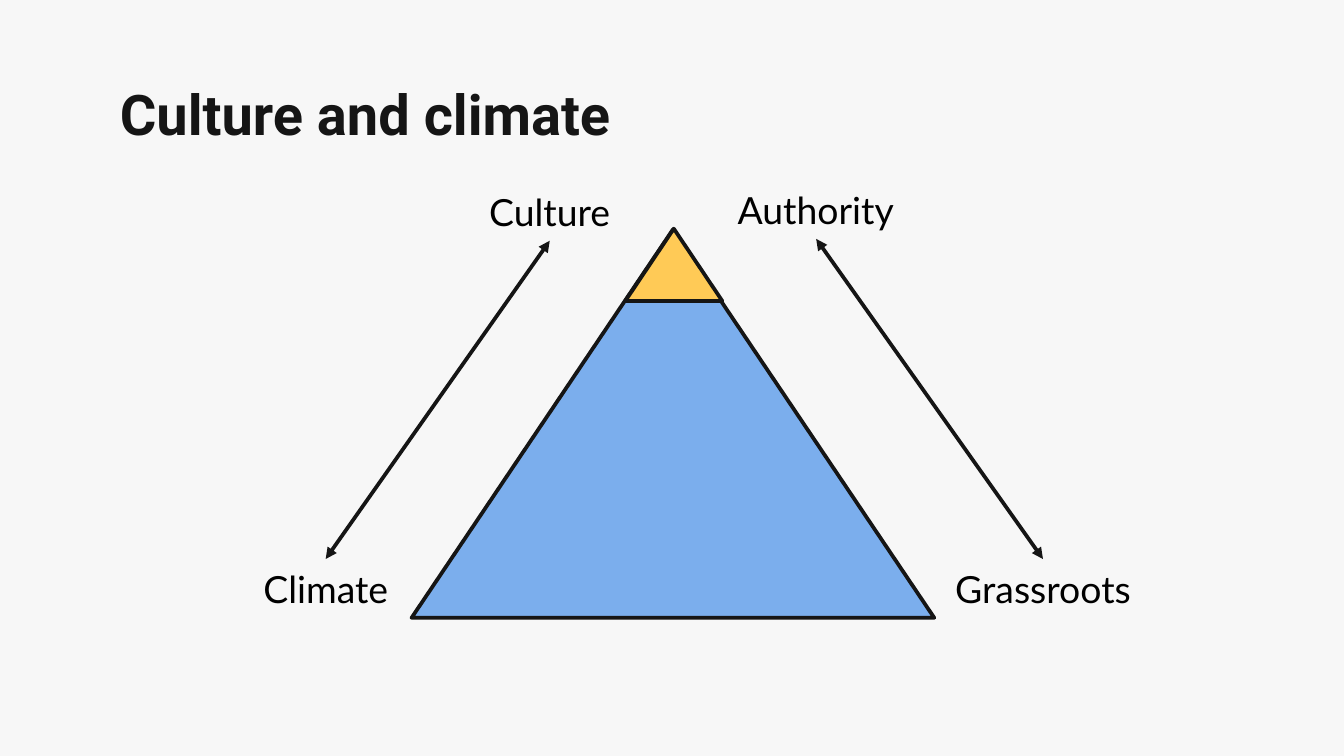
"""Build a slide showing culture and climate as a two-part pyramid."""
import dataclasses

import pptx
import pptx.dml.color
import pptx.enum.shapes
import pptx.enum.text
import pptx.oxml.xmlchemy
import pptx.shapes.group
import pptx.slide
import pptx.text.text
import pptx.util


@dataclasses.dataclass(frozen=True)
class Theme:
    background: str = "F7F7F7"
    ink: str = "151515"
    label_ink: str = "000000"
    base: str = "7BAEED"
    peak: str = "FFCA56"
    title_font: str = "Roboto"
    label_font: str = "Lato"
    title_size: float = 30
    label_size: float = 20
    line_width: float = 2


@dataclasses.dataclass(frozen=True)
class Label:
    text: str
    left: float
    top: float


@dataclasses.dataclass(frozen=True)
class Tier:
    left: float
    top: float
    width: float
    height: float
    color: str


@dataclasses.dataclass(frozen=True)
class Arrow:
    start: tuple[float, float]
    end: tuple[float, float]


THEME = Theme()
LABEL_WIDTH, LABEL_HEIGHT = 193, 31.5
TIERS = (
    Tier(220.5, 123, 280, 208, THEME.base),
    Tier(335, 122.5, 52, 38.75, THEME.peak),
)
LABELS = (
    Label("Culture", 198, 98),
    Label("Climate", 78, 299.5),
    Label("Authority", 340.5, 96.5),
    Label("Grassroots", 462.25, 299.5),
)
ARROWS = (
    Arrow((294.5, 129), (174.5, 299.5)),
    Arrow((437.25, 128), (558.75, 299.5)),
)


def points(*values: float) -> list[pptx.util.Length]:
    """Turn numbers into lengths in points."""
    return [pptx.util.Pt(value) for value in values]


def rgb(color: str) -> pptx.dml.color.RGBColor:
    """Turn a hex string into a colour."""
    return pptx.dml.color.RGBColor.from_string(color)


def set_font(paragraph: pptx.text.text._Paragraph, name: str, size: float,
             color: str, bold: bool = False) -> None:
    """Format a whole paragraph."""
    paragraph.font.name = name
    paragraph.font.size = pptx.util.Pt(size)
    paragraph.font.bold = bold
    paragraph.font.color.rgb = rgb(color)


def add_drawing_element(parent, tag: str, **attributes: str) -> None:
    """Append a drawing element to a parent element."""
    element = pptx.oxml.xmlchemy.OxmlElement(tag)
    for name, value in attributes.items():
        element.set(name, value)
    parent.append(element)


def draw_title(slide: pptx.slide.Slide, text: str) -> None:
    """Place and format the slide title."""
    shape = slide.shapes.title
    shape.left, shape.top, shape.width, shape.height = points(57, 35.5, 607, 45)
    frame = shape.text_frame
    frame.text = text
    frame.word_wrap = True
    frame.auto_size = pptx.enum.text.MSO_AUTO_SIZE.NONE
    frame.vertical_anchor = pptx.enum.text.MSO_ANCHOR.TOP
    frame.margin_left = frame.margin_right = pptx.util.Pt(7.2)
    frame.margin_top = frame.margin_bottom = pptx.util.Pt(7.2)
    paragraph = frame.paragraphs[0]
    paragraph.alignment = pptx.enum.text.PP_ALIGN.LEFT
    set_font(paragraph, THEME.title_font, THEME.title_size, THEME.ink, bold=True)


def draw_tier(group: pptx.shapes.group.GroupShape, tier: Tier) -> None:
    """Draw one triangle of the pyramid."""
    shape = group.shapes.add_shape(
        pptx.enum.shapes.MSO_SHAPE.ISOSCELES_TRIANGLE,
        *points(tier.left, tier.top, tier.width, tier.height))
    shape.shadow.inherit = False
    shape.fill.solid()
    shape.fill.fore_color.rgb = rgb(tier.color)
    shape.line.color.rgb = rgb(THEME.ink)
    shape.line.width = pptx.util.Pt(THEME.line_width)
    add_drawing_element(shape.element.spPr.get_or_add_ln(), "a:round")


def draw_label(slide: pptx.slide.Slide, label: Label) -> None:
    """Draw one centred label."""
    shape = slide.shapes.add_textbox(
        *points(label.left, label.top, LABEL_WIDTH, LABEL_HEIGHT))
    frame = shape.text_frame
    frame.text = label.text
    frame.word_wrap = True
    frame.auto_size = pptx.enum.text.MSO_AUTO_SIZE.SHAPE_TO_FIT_TEXT
    paragraph = frame.paragraphs[0]
    paragraph.alignment = pptx.enum.text.PP_ALIGN.CENTER
    set_font(paragraph, THEME.label_font, THEME.label_size, THEME.label_ink)


def draw_arrow(slide: pptx.slide.Slide, arrow: Arrow) -> None:
    """Draw one straight line with arrowheads at both ends."""
    connector = slide.shapes.add_connector(
        pptx.enum.shapes.MSO_CONNECTOR.STRAIGHT,
        *points(*arrow.start, *arrow.end))
    connector.line.color.rgb = rgb(THEME.ink)
    connector.line.width = pptx.util.Pt(THEME.line_width)
    properties = connector.element.spPr
    for tag in ("a:headEnd", "a:tailEnd"):
        add_drawing_element(properties.get_or_add_ln(), tag,
                            type="triangle", w="med", len="med")
    add_drawing_element(properties, "a:effectLst")


def main() -> None:
    """Build and save the presentation."""
    presentation = pptx.Presentation()
    presentation.slide_width, presentation.slide_height = points(720, 405)
    slide = presentation.slides.add_slide(presentation.slide_layouts[5])
    slide.background.fill.solid()
    slide.background.fill.fore_color.rgb = rgb(THEME.background)
    draw_title(slide, "Culture and climate")
    pyramid = slide.shapes.add_group_shape()
    for tier in TIERS:
        draw_tier(pyramid, tier)
    for label in LABELS:
        draw_label(slide, label)
    for arrow in ARROWS:
        draw_arrow(slide, arrow)
    presentation.save("out.pptx")


if __name__ == "__main__":
    main()
